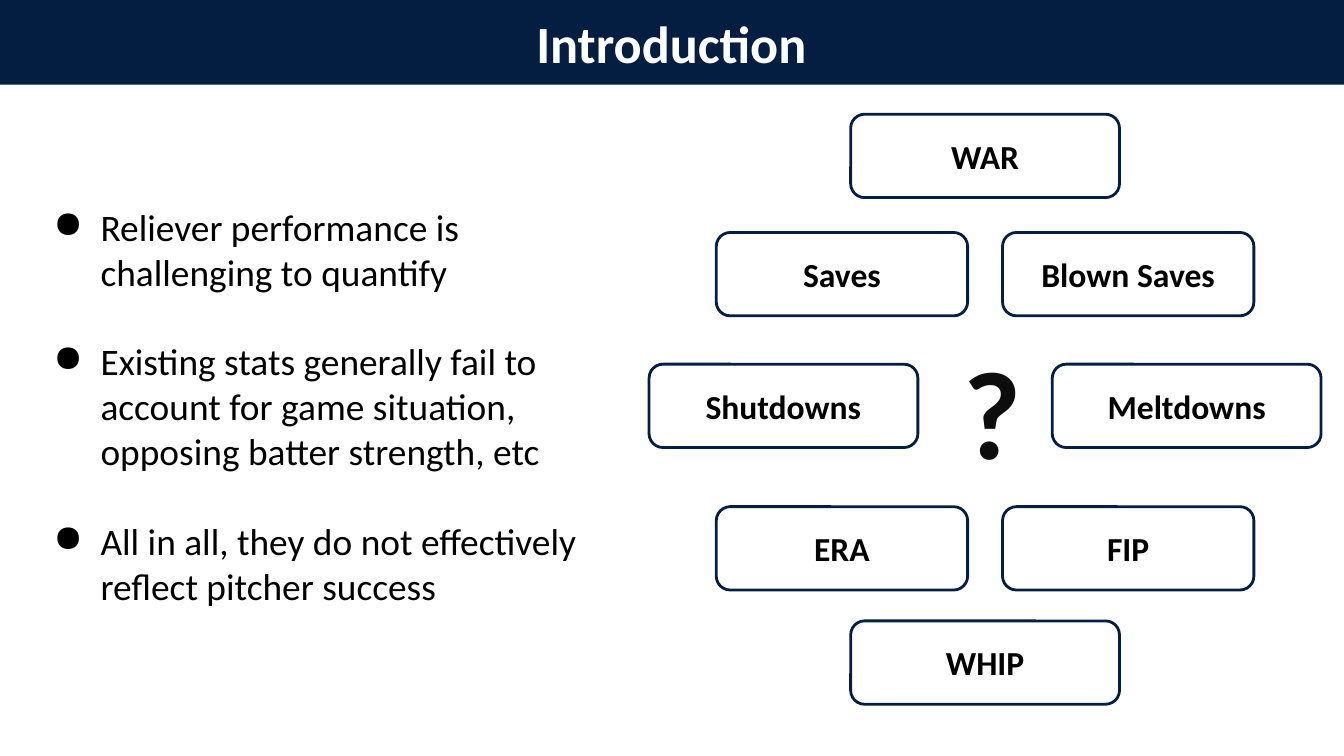
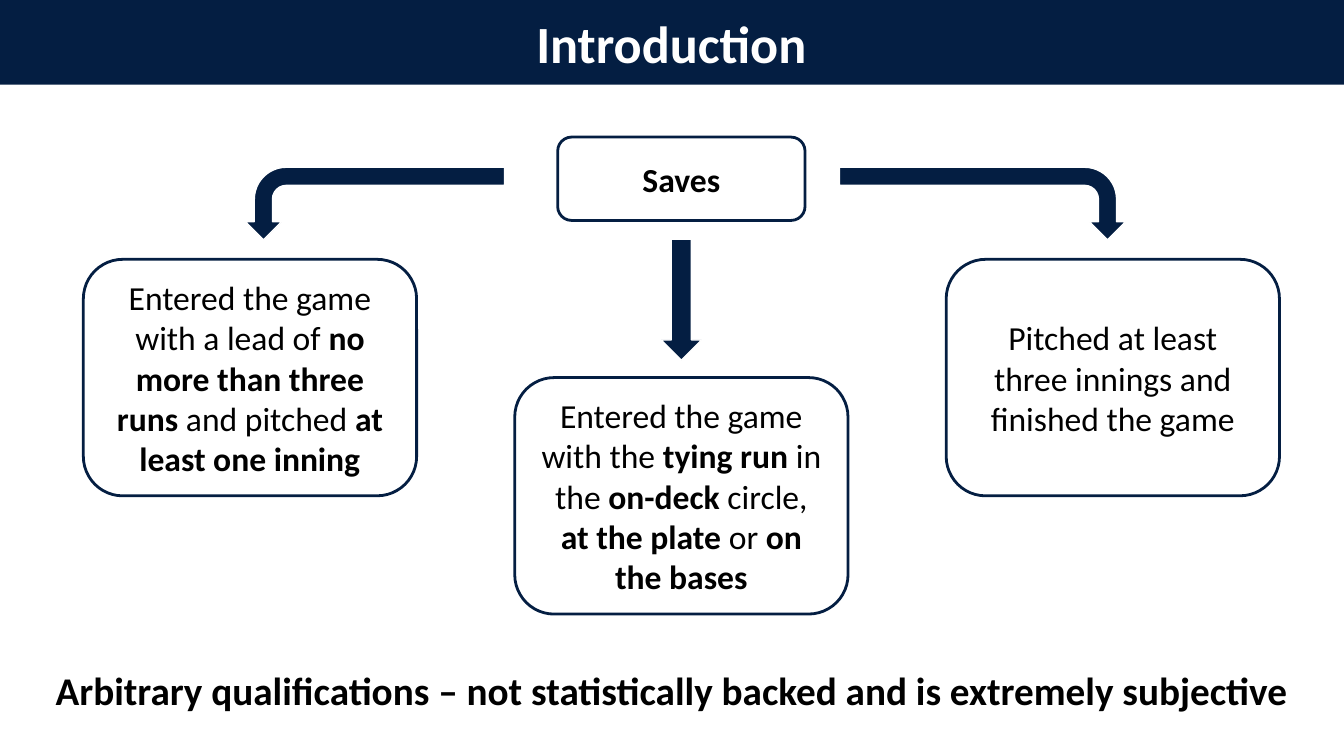
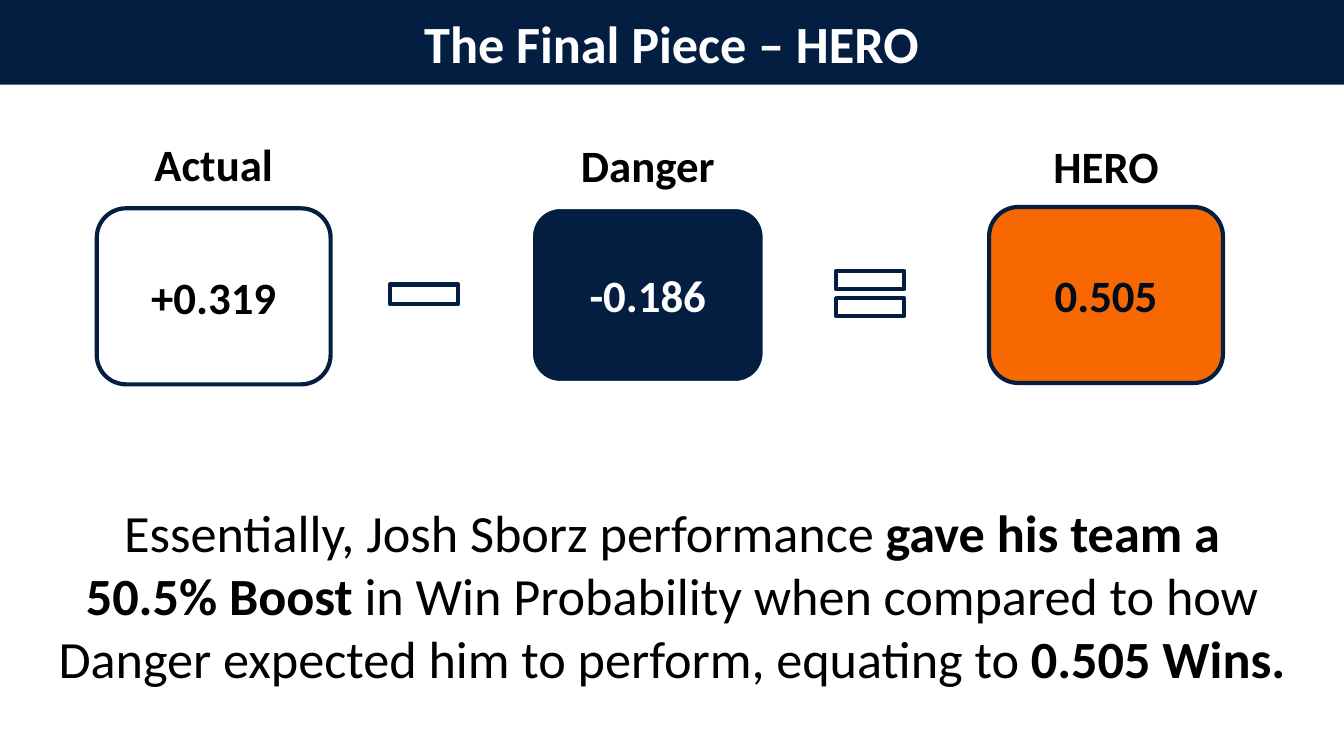
"""Build three slides on how reliever performance is measured."""
from lxml import etree
from pptx import Presentation
from pptx.dml.color import RGBColor
from pptx.enum.shapes import MSO_SHAPE
from pptx.enum.text import MSO_ANCHOR, MSO_AUTO_SIZE, PP_ALIGN
from pptx.oxml.ns import qn
from pptx.util import Inches, Pt

LEFT, CENTER = PP_ALIGN.LEFT, PP_ALIGN.CENTER
RECTANGLE, ROUNDED = MSO_SHAPE.RECTANGLE, MSO_SHAPE.ROUNDED_RECTANGLE
BENT_ARROW, DOWN_ARROW = MSO_SHAPE.BENT_ARROW, MSO_SHAPE.DOWN_ARROW
MINUS, EQUAL = MSO_SHAPE.MATH_MINUS, MSO_SHAPE.MATH_EQUAL
MIDDLE, TOP = MSO_ANCHOR.MIDDLE, MSO_ANCHOR.TOP
NO_AUTOFIT = MSO_AUTO_SIZE.NONE
TITLE_ONLY = 5


class Theme:
    font = "Calibri"
    navy = RGBColor.from_string("041E42")
    orange = RGBColor.from_string("F76900")
    white = RGBColor.from_string("FFFFFF")
    black = RGBColor.from_string("000000")
    question_ink = RGBColor.from_string("0D0D0D")
    hero_ink = RGBColor.from_string("020C1A")
    title, body, label, verdict = 28, 20, 18, 21
    value, summary, question = 24, 28, 67


presentation = Presentation()
presentation.slide_width = Inches(10)
presentation.slide_height = presentation.slide_width * 9 // 16
CELL = presentation.slide_width / 100


def add_box(slide, preset, frame, fill=None, line=None, weight=1.5):
    """Add a shape, or a text box without a preset, framed in grid cells."""
    lengths = [round(cells * CELL) for cells in frame]
    if preset is None:
        return slide.shapes.add_textbox(*lengths)
    shape = slide.shapes.add_shape(preset, *lengths)
    shape.shadow.inherit = False
    if fill is None:
        shape.fill.background()
    else:
        shape.fill.solid()
        shape.fill.fore_color.rgb = fill
    if line is None:
        shape.line.fill.background()
    else:
        shape.line.color.rgb = line
        shape.line.width = Pt(weight)
    return shape


def write(shape, texts, size, color=Theme.black, bold=False, anchor=MIDDLE, bullet=None):
    """Write one paragraph per text, with ** around the bold parts."""
    frame = shape.text_frame
    frame.word_wrap = True
    frame.auto_size = NO_AUTOFIT
    frame.vertical_anchor = anchor
    frame.margin_left = frame.margin_right = Inches(0.1)
    frame.margin_top = frame.margin_bottom = Inches(0.1)
    for index, text in enumerate(texts):
        paragraph = frame.add_paragraph() if index else frame.paragraphs[0]
        paragraph.alignment = LEFT if bullet else CENTER
        if bullet:
            properties = paragraph._p.get_or_add_pPr()
            properties.set("marL", str(Inches(0.5)))
            properties.set("indent", str(-Inches(0.35)))
            if index:
                paragraph.space_before = Pt(size * 1.2)
            etree.SubElement(properties, qn("a:buChar")).set("char", bullet)
        paragraph.font.name = Theme.font
        paragraph.font.size = Pt(size)
        paragraph.font.color.rgb = color
        paragraph.font.bold = bold
        for part, words in enumerate(text.split("**")):
            if words:
                run = paragraph.add_run()
                run.text = words
                if part % 2:
                    run.font.bold = True


slides = []
for heading in ("Introduction", "Introduction", "The Final Piece – HERO"):
    slide = presentation.slides.add_slide(presentation.slide_layouts[TITLE_ONLY])
    title = slide.shapes.title
    title.left, title.top = round(7.2 * CELL), 0
    title.width, title.height = round(85.5 * CELL), round(6.3 * CELL)
    write(title, [heading], Theme.title, Theme.white, bold=True)
    band = add_box(slide, RECTANGLE, (0, 0, 100, 6.3), Theme.navy)
    title._element.addprevious(band._element)
    slides.append(slide)
stats_slide, saves_slide, hero_slide = slides

arguments = add_box(stats_slide, None, (1.5, 9.1, 44, 42.2))
write(arguments, [
    "Reliever performance is challenging to quantify",
    "Existing stats generally fail to account for game situation, opposing batter strength, etc",
    "All in all, they do not effectively reflect pitcher success",
], Theme.body, bullet="●")

STATS_CENTER = 73.3
stat_rows = [
    (8.5, 20, 0, ["WAR"]),
    (17.3, 18.7, 21.3, ["Saves", "Blown Saves"]),
    (27.1, 20, 30, ["Shutdowns", "Meltdowns"]),
    (37.7, 18.7, 21.3, ["ERA", "FIP"]),
    (46.2, 20, 0, ["WHIP"]),
]
for top, width, pitch, names in stat_rows:
    for column, name in enumerate(names):
        center = STATS_CENTER + pitch * (column - (len(names) - 1) / 2)
        stat = add_box(stats_slide, ROUNDED, (center - width / 2, top, width, 6.2), line=Theme.navy)
        write(stat, [name], Theme.label, bold=True)
question = add_box(stats_slide, None, (70.7, 23.9, 5.3, 13.3))
write(question, ["?"], Theme.question, Theme.question_ink, bold=True, anchor=TOP)

saves = add_box(saves_slide, ROUNDED, (41.5, 10.2, 18.4, 6.2), line=Theme.navy)
write(saves, ["Saves"], Theme.label, bold=True)
conditions = [
    (19.3, "Entered the game with a lead of **no more than three runs** and pitched **at least one inning**"),
    (28.1, "Entered the game with the **tying run **in the** on-deck** circle, "
           "**at the plate **or **on the bases**"),
    (19.3, "Pitched at least three innings and finished the game"),
]
for column, (top, text) in enumerate(conditions):
    condition = add_box(saves_slide, ROUNDED, (6.2 + 32.1 * column, top, 24.8, 17.6), line=Theme.navy)
    write(condition, [text], Theme.label)

arrows = [
    (BENT_ARROW, (25.2, 5.5, 5.4, 19.3), 270),
    (BENT_ARROW, (70.4, 4.5, 5.4, 21.3), 90),
    (DOWN_ARROW, (49.2, 17.8, 3, 9), 0),
]
for preset, frame, rotation in arrows:
    arrow = add_box(saves_slide, preset, frame, Theme.navy, Theme.white, 0.75)
    arrow.rotation = rotation
    if preset == BENT_ARROW:
        arrow.adjustments[3] = 0.44
    if rotation == 270:
        arrow._element.spPr.find(qn("a:xfrm")).set("flipH", "1")
verdict = add_box(saves_slide, None, (1, 46.5, 98, 9.6))
write(verdict, ["Arbitrary qualifications – not statistically backed and is extremely subjective"],
      Theme.verdict, bold=True)

terms = [
    ("Actual", "+0.319", 7.2, 15.5, 15.9, 12.15, Theme.white, Theme.navy, Theme.black),
    ("Danger", "-0.186", 39.5, 15.4, 48.2, 12.25, Theme.navy, Theme.white, Theme.white),
    ("HERO", "0.505", 73.6, 15.4, 82.3, 12.3, Theme.orange, Theme.navy, Theme.hero_ink),
]
for name, value, left, top, label_center, label_middle, fill, line, ink in terms:
    card = add_box(hero_slide, ROUNDED, (left, top, 17.4, 13.1), fill, line, 2.25)
    write(card, [value], Theme.value, ink, bold=True)
    label = add_box(hero_slide, None, (label_center - 8.7, label_middle - 2.25, 17.4, 4.5))
    write(label, [name], Theme.value, bold=True)
for preset, frame in ((MINUS, (28.1, 18.8, 6.9, 6.2)), (EQUAL, (61.3, 19, 6.9, 5.7))):
    add_box(hero_slide, preset, frame, Theme.white, Theme.navy, 2.25)
summary = add_box(hero_slide, None, (3.2, 36, 93.6, 16.5))
write(summary, [
    "Essentially, Josh Sborz performance **gave his team a 50.5% Boost **in Win Probability when "
    "compared to how Danger expected him to perform, equating to **0.505 Wins.**"
], Theme.summary)

presentation.save("out.pptx")
